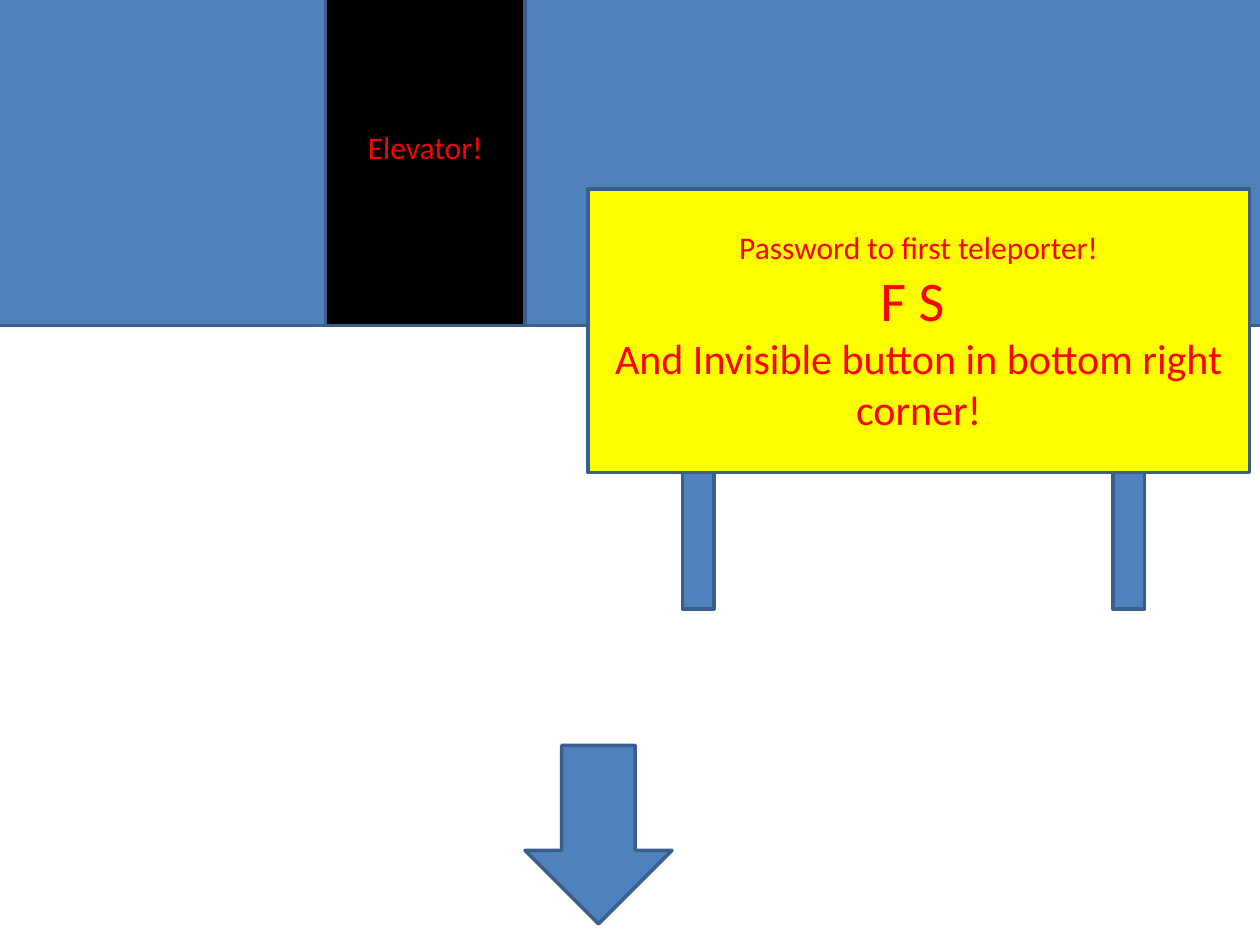
from pptx import Presentation
from pptx.dml.color import RGBColor
from pptx.enum.shapes import MSO_SHAPE
from pptx.enum.text import MSO_ANCHOR, PP_ALIGN
from pptx.util import Pt

BLUE = RGBColor(0x4F, 0x81, 0xBD)
OUTLINE = RGBColor(0x3A, 0x5F, 0x8C)
BLACK = RGBColor(0, 0, 0)
YELLOW = RGBColor(0xFF, 0xFF, 0)
RED = RGBColor(0xFF, 0, 0)


class Scene:
    font_format = {"name": "Calibri"}
    frame_format = {"word_wrap": True, "vertical_anchor": MSO_ANCHOR.MIDDLE}

    def __init__(self, slide):
        self.slide = slide

    def apply(self, target, values):
        for key, value in values.items():
            setattr(target, key, value)

    def block(self, left, top, width, height, fill=BLUE, kind=MSO_SHAPE.RECTANGLE):
        block = self.slide.shapes.add_shape(
            kind, Pt(left), Pt(top), Pt(width), Pt(height))
        block.shadow.inherit = False
        block.fill.solid()
        block.fill.fore_color.rgb = fill
        block.line.color.rgb = OUTLINE
        block.line.width = Pt(2)
        return block

    def sign(self, left, top, width, height, fill, lines):
        frame = self.block(left, top, width, height, fill).text_frame
        self.apply(frame, self.frame_format)
        for index, (words, size) in enumerate(lines):
            paragraph = frame.add_paragraph() if index else frame.paragraphs[0]
            paragraph.alignment = PP_ALIGN.CENTER
            run = paragraph.add_run()
            run.text = words
            self.apply(run.font, self.font_format | {"size": Pt(size)})
            run.font.color.rgb = RED

    def arrow(self, left, top, width, height):
        self.block(left, top, width, height, kind=MSO_SHAPE.DOWN_ARROW)


def main():
    deck = Presentation()
    deck.slide_width, deck.slide_height = Pt(720), Pt(540)
    scene = Scene(deck.slides.add_slide(deck.slide_layouts[6]))

    wall_top, wall_height = -18, 204
    for left, width in ((-54, 240), (294, 522)):
        scene.block(left, wall_top, width, wall_height)
    scene.sign(186, wall_top, 114, wall_height, BLACK, [("Elevator!", 18)])
    scene.arrow(300, 426, 84, 102)
    for post_left in (390, 636):
        scene.block(post_left, 270, 18, 78)
    scene.sign(336, 108, 378, 162, YELLOW, [
        ("Password to first teleporter!", 18),
        ("F S ", 32),
        ("And Invisible button in bottom right corner!", 24),
    ])
    deck.save("out.pptx")


if __name__ == "__main__":
    main()
